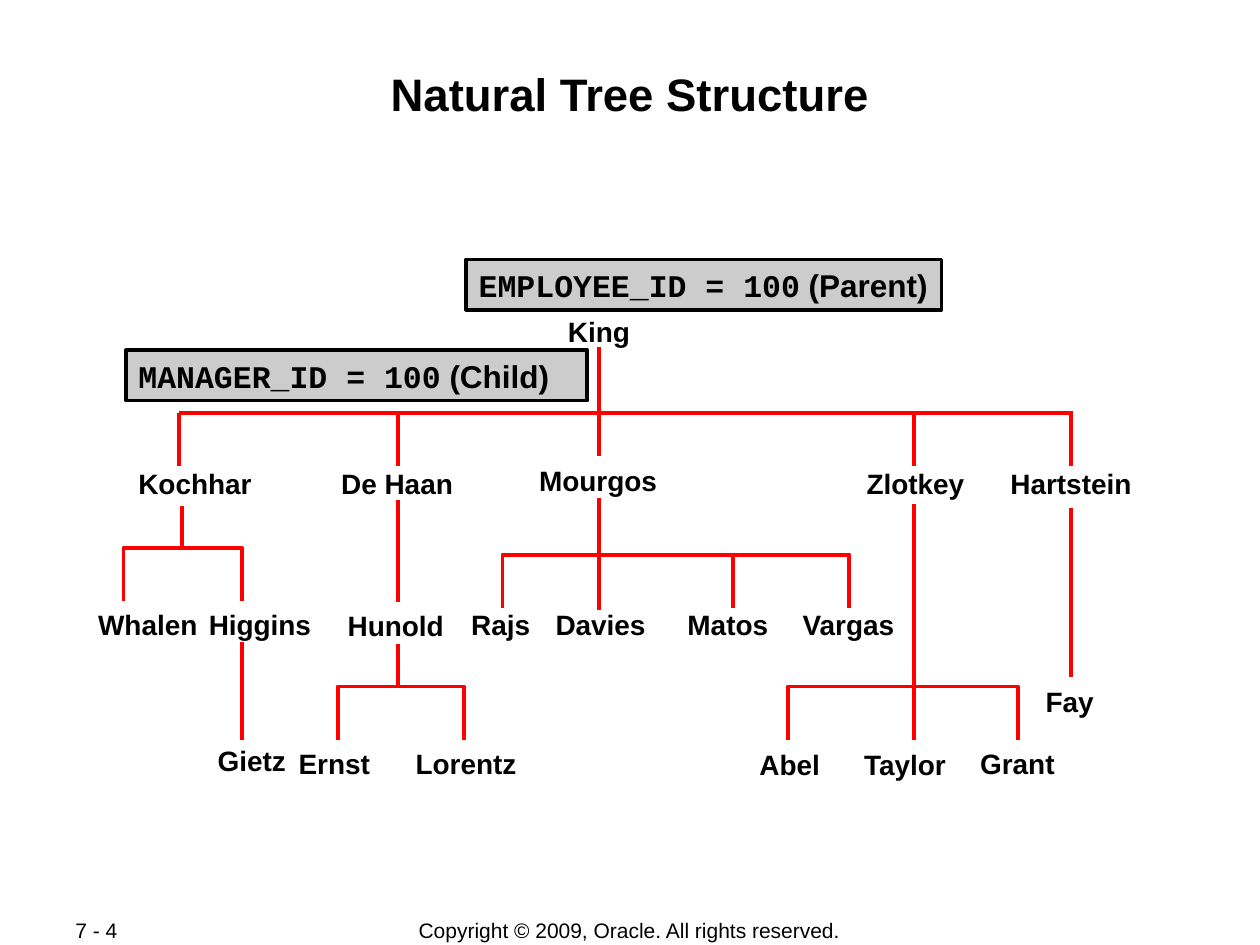
"""Build a slide showing an employee hierarchy as a natural tree."""
from lxml import etree
from pptx import Presentation
from pptx.dml.color import RGBColor
from pptx.enum.shapes import MSO_CONNECTOR, MSO_SHAPE
from pptx.enum.text import MSO_ANCHOR, MSO_AUTO_SIZE, PP_ALIGN
from pptx.oxml.ns import qn
from pptx.util import Cm, Pt

STRAIGHT = MSO_CONNECTOR.STRAIGHT
RECTANGLE = MSO_SHAPE.RECTANGLE
FIT_SHAPE = MSO_AUTO_SIZE.SHAPE_TO_FIT_TEXT
LEFT, CENTER = PP_ALIGN.LEFT, PP_ALIGN.CENTER
TOP, MIDDLE = MSO_ANCHOR.TOP, MSO_ANCHOR.MIDDLE

BLACK, RED, GRAY = "000000", "FF0000", "CCCCCC"
SANS, MONO = "Arial", "Courier New"
NAME_HEIGHT, BRACKET_HEIGHT = 0.94, 1.07
BUS_Y, CHILD_Y = 8.33, 9.4

TITLE = "Natural Tree Structure"
PAGE_NUMBER = "7 - 4"
COPYRIGHT = "Copyright © 2009, Oracle. All rights reserved."

CALLOUTS = [
    ("EMPLOYEE_ID = 100", " (Parent)", 9.4, 5.23, 9.58, False),
    ("MANAGER_ID = 100", " (Child)", 2.54, 7.06, 9.3, True),
]

NAMES_BY_TOP = {
    6.22: [("King", 11.2, 1.75)],
    9.22: [("Mourgos", 10.62, 2.9)],
    9.27: [("Kochhar", 2.54, 2.79), ("De Haan", 6.63, 2.77),
           ("Zlotkey", 17.22, 2.49), ("Hartstein", 20.12, 2.95)],
    12.12: [("Whalen", 1.73, 2.51), ("Higgins", 3.96, 2.57),
            ("Rajs", 9.25, 1.7), ("Davies", 10.95, 2.34),
            ("Matos", 13.61, 2.13), ("Vargas", 15.93, 2.39)],
    12.14: [("Hunold", 6.76, 2.46)],
    13.67: [("Fay", 20.83, 1.65)],
    14.86: [("Gietz", 4.14, 1.88)],
    14.91: [("Ernst", 5.77, 1.96), ("Lorentz", 8.13, 2.54),
            ("Grant", 19.51, 2.01)],
    14.94: [("Abel", 15.06, 1.73), ("Taylor", 17.17, 2.21)],
}

BUS_SPANS = [(3.61, 8), (7.19, 14.17), (14.17, 21.64)]
STEMS = {
    3.61: [(BUS_Y, CHILD_Y)],
    3.66: [(10.21, 11.05)],
    4.88: [(12.95, 14.91)],
    8.03: [(BUS_Y, CHILD_Y), (10.08, 12.14), (12.98, 13.84)],
    12.07: [(6.99, BUS_Y), (BUS_Y, 9.19), (10.03, 11.3), (11.23, 12.29)],
    18.42: [(BUS_Y, CHILD_Y), (10.16, 13.84), (13.84, 14.91)],
    21.59: [(BUS_Y, CHILD_Y), (10.24, 10.87), (10.87, 13.64)],
}
BRACKETS = [
    (2.49, 4.88, 11.05),
    (10.13, 14.78, 11.18),
    (14.78, 17.12, 11.18),
    (6.81, 9.35, 13.84),
    (15.88, 20.52, 13.84),
]


def color(value):
    return RGBColor.from_string(value)


def format_line(line, value, width):
    line.color.rgb = color(value)
    line.width = Pt(width)


def format_font(font, size, name=SANS, bold=True):
    font.size = Pt(size)
    font.name = name
    font.bold = bold
    font.color.rgb = color(BLACK)


def set_frame(text_frame, wrap, anchor=TOP, margins=(0.25, 0.13)):
    text_frame.word_wrap = wrap
    text_frame.vertical_anchor = anchor
    text_frame.margin_left = text_frame.margin_right = Cm(margins[0])
    text_frame.margin_top = text_frame.margin_bottom = Cm(margins[1])


def add_label(slide, text, box, size, bold=True, wrap=False, align=LEFT, **frame):
    shape = slide.shapes.add_textbox(*map(Cm, box))
    text_frame = shape.text_frame
    set_frame(text_frame, wrap, **frame)
    text_frame.text = text
    paragraph = text_frame.paragraphs[0]
    paragraph.alignment = align
    format_font(paragraph.runs[0].font, size, bold=bold)
    return shape


def add_callout(slide, code, note, left, top, width, wrap):
    shape = slide.shapes.add_shape(RECTANGLE, Cm(left), Cm(top), Cm(width), Cm(1.02))
    shape.shadow.inherit = False
    shape.fill.solid()
    shape.fill.fore_color.rgb = color(GRAY)
    format_line(shape.line, BLACK, 2)
    set_frame(shape.text_frame, wrap)
    shape.text_frame.auto_size = FIT_SHAPE
    paragraph = shape.text_frame.paragraphs[0]
    paragraph.alignment = LEFT
    for text, font_name in ((code, MONO), (note, SANS)):
        run = paragraph.add_run()
        run.text = text
        format_font(run.font, 18, font_name)


def add_branch(slide, *ends):
    connector = slide.shapes.add_connector(STRAIGHT, *map(Cm, ends))
    format_line(connector.line, RED, 2.25)
    etree.SubElement(connector._element.spPr, qn("a:effectLst"))


def add_bracket(slide, left, right, top):
    bottom = top + BRACKET_HEIGHT
    builder = slide.shapes.build_freeform(Cm(left), Cm(bottom))
    corners = [(left, top), (right, top), (right, bottom)]
    builder.add_line_segments([(Cm(x), Cm(y)) for x, y in corners], close=False)
    shape = builder.convert_to_shape()
    shape.shadow.inherit = False
    shape.fill.background()
    format_line(shape.line, RED, 2.25)


def main():
    presentation = Presentation()
    presentation.slide_width, presentation.slide_height = Cm(25.4), Cm(19.05)
    slide = presentation.slides.add_slide(presentation.slide_layouts[6])

    add_label(slide, COPYRIGHT, (6.99, 18.49, 11.4, 0.53), 12, bold=False,
              align=CENTER, anchor=MIDDLE)
    add_label(slide, PAGE_NUMBER, (1.27, 18.49, 2.69, 0.51), 12, bold=False,
              wrap=True, anchor=MIDDLE)
    add_label(slide, TITLE, (1.7, 1.31, 22, 2.35), 26, wrap=True, align=CENTER,
              margins=(0.03, 0.03))

    for left, right in BUS_SPANS:
        add_branch(slide, left, BUS_Y, right, BUS_Y)
    for x, spans in STEMS.items():
        for start, end in spans:
            add_branch(slide, x, start, x, end)
    for bracket in BRACKETS:
        add_bracket(slide, *bracket)
    for callout in CALLOUTS:
        add_callout(slide, *callout)
    for top, names in NAMES_BY_TOP.items():
        for name, left, width in names:
            label = add_label(slide, name, (left, top, width, NAME_HEIGHT), 16)
            label.text_frame.auto_size = FIT_SHAPE

    presentation.save("out.pptx")


if __name__ == "__main__":
    main()
